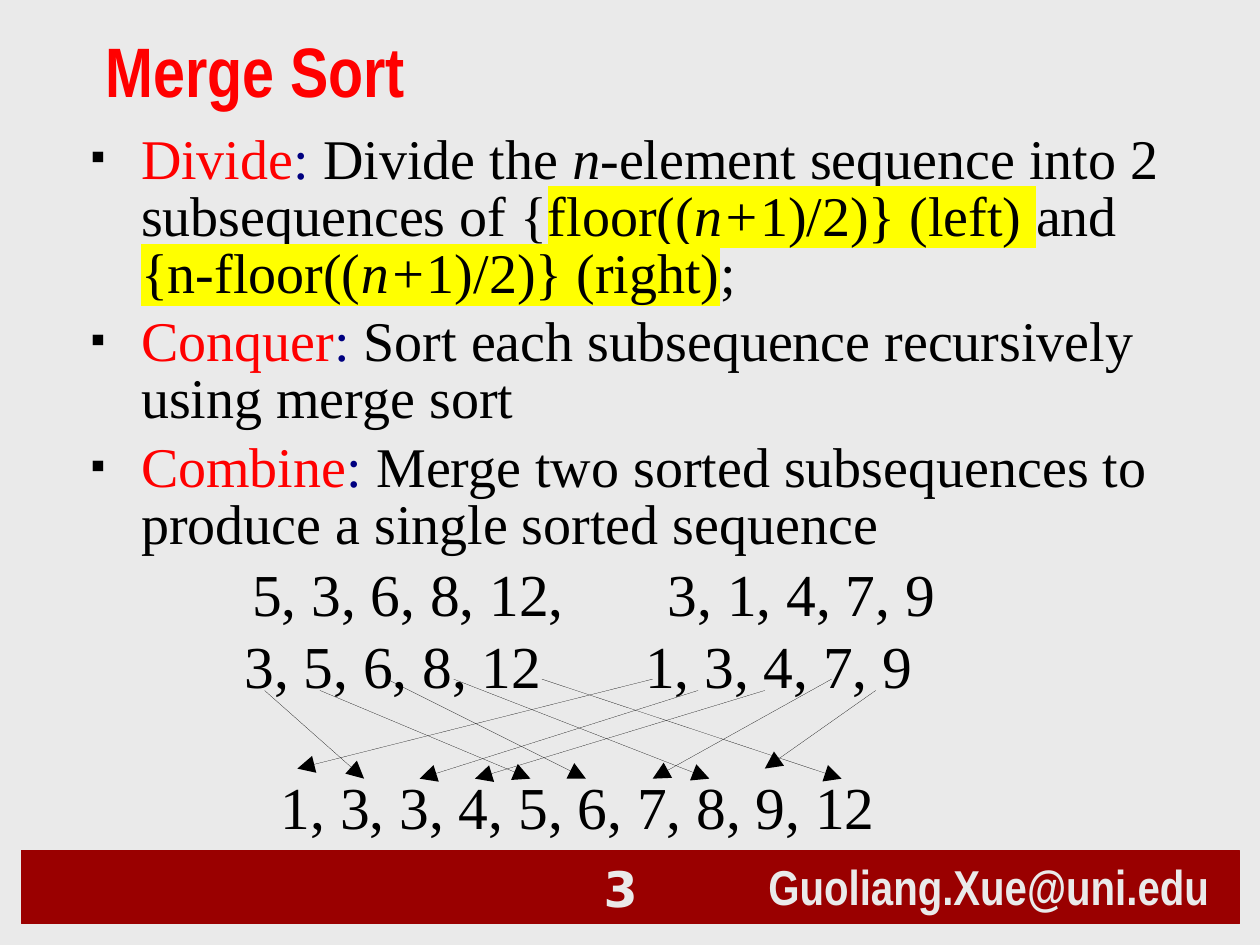
from dataclasses import dataclass

from lxml import etree
from pptx import Presentation
from pptx.dml.color import RGBColor
from pptx.enum.shapes import MSO_CONNECTOR, MSO_SHAPE
from pptx.enum.text import MSO_ANCHOR, PP_ALIGN
from pptx.oxml.ns import qn
from pptx.util import Inches, Pt

RECT, STRAIGHT = MSO_SHAPE.RECTANGLE, MSO_CONNECTOR.STRAIGHT
TOP, MIDDLE, BOTTOM = MSO_ANCHOR.TOP, MSO_ANCHOR.MIDDLE, MSO_ANCHOR.BOTTOM
LEFT, RIGHT = PP_ALIGN.LEFT, PP_ALIGN.RIGHT


@dataclass(frozen=True)
class Theme:
    paper: str = "EAEAEA"
    bar: str = "9A0000"
    red: str = "FF0000"
    navy: str = "000080"
    ink: str = "000000"
    marker: str = "FFFF00"
    heading: str = "Arial Narrow"
    body: str = "Times New Roman"
    number: str = "DejaVu Sans"
    title_size: int = 40
    body_size: int = 32
    sequence_size: int = 34
    footer_size: int = 28


def rgb(value):
    return RGBColor.from_string(value)


def add_xml(parent, tag, **attrs):
    return etree.SubElement(parent, qn(tag), attrs)


class Deck:
    def __init__(self, theme):
        self.theme = theme
        self.prs = Presentation()
        self.prs.slide_width, self.prs.slide_height = Inches(10), Inches(7.5)
        self.s = self.prs.slides.add_slide(self.prs.slide_layouts[6])
        fill = self.s.background.fill
        fill.solid()
        fill.fore_color.rgb = rgb(theme.paper)

    def bar(self, box, outline=True):
        sp = self.s.shapes.add_shape(RECT, *map(Inches, box))
        sp.shadow.inherit = False
        sp.fill.solid()
        sp.fill.fore_color.rgb = rgb(self.theme.bar)
        if outline:
            sp.line.color.rgb = rgb(self.theme.bar)
            sp.line.width = Pt(0.75)
        else:
            sp.line.fill.background()
        return sp

    def frame(self, sp, anchor=TOP, inset=(0.1, 0.05), wrap=True):
        tf = sp.text_frame
        x, y = map(Inches, inset)
        formats = {"word_wrap": wrap, "vertical_anchor": anchor,
                   "margin_left": x, "margin_right": x,
                   "margin_top": y, "margin_bottom": y}
        for name, value in formats.items():
            setattr(tf, name, value)
        return tf

    def textbox(self, box):
        return self.s.shapes.add_textbox(*map(Inches, box))

    def run(self, p, text, size, font, color, bold=False, italic=False, highlight=None):
        r = p.add_run()
        r.text = text
        formats = {"size": Pt(size), "name": font, "bold": bold, "italic": italic}
        for name, value in formats.items():
            setattr(r.font, name, value)
        r.font.color.rgb = rgb(color)
        if highlight:
            mark = etree.Element(qn("a:highlight"))
            add_xml(mark, "a:srgbClr", val=highlight)
            r.font._element.find(qn("a:solidFill")).addnext(mark)

    def label(self, sp, text, size, font, color, bold=True, align=LEFT, **frame):
        p = self.frame(sp, **frame).paragraphs[0]
        p.alignment = align
        self.run(p, text, size, font, color, bold)

    def sequence(self, text, x, y, width):
        t = self.theme
        self.label(self.textbox((x, y, width, 0.57)), text, t.sequence_size, t.body,
                   t.ink, bold=False, inset=(0, 0), wrap=False)

    def bullets(self, items, box):
        t = self.theme
        tf = self.frame(self.textbox(box), inset=(0.11, 0.05))
        for i, (term, parts) in enumerate(items):
            p = tf.add_paragraph() if i else tf.paragraphs[0]
            p.line_spacing, p.space_before = 0.85, Pt(6.4)
            pPr = p._p.get_or_add_pPr()
            pPr.set("marL", str(Inches(0.4)))
            pPr.set("indent", str(Inches(-0.4)))
            add_xml(add_xml(pPr, "a:buClr"), "a:srgbClr", val=t.ink)
            add_xml(pPr, "a:buSzPct", val="75000")
            add_xml(pPr, "a:buFont", typeface=t.body)
            add_xml(pPr, "a:buChar", char="▪")
            self.run(p, term, t.body_size, t.body, t.red)
            self.run(p, ": ", t.body_size, t.body, t.navy)
            for text, style in parts:
                self.run(p, text, t.body_size, t.body, t.ink, **style)

    def arrow(self, start, end):
        c = self.s.shapes.add_connector(STRAIGHT, *map(Inches, (*start, *end)))
        c.line.color.rgb = rgb(self.theme.ink)
        c.line.width = Pt(0.1)
        add_xml(c.line._get_or_add_ln(), "a:tailEnd", type="triangle", w="lg", len="lg")
        add_xml(c._element.spPr, "a:effectLst")


t = Theme()
deck = Deck(t)

# Footer
deck.bar((0.17, 6.75, 9.67, 0.58))
contact = deck.bar((6, 6.75, 3.83, 0.57), outline=False)
deck.label(contact, "Guoliang.Xue@uni.edu", t.footer_size, t.heading, t.paper)
page = deck.bar((4.08, 6.75, 1.08, 0.58))
deck.label(page, "3", t.footer_size, t.number, t.paper, align=RIGHT, anchor=BOTTOM)

# Title and the three steps
deck.label(deck.textbox((0.74, 0.16, 8.54, 0.79)), "Merge Sort", t.title_size,
           t.heading, t.red, anchor=MIDDLE)
plain, italic = {}, {"italic": True}
marked = {"highlight": t.marker}
marked_italic = {**marked, **italic}
deck.bullets([
    ("Divide", [
        ("Divide the ", plain), ("n", italic),
        ("-element sequence into 2 subsequences of {", plain),
        ("floor((", marked), ("n+", marked_italic), ("1)/2)} (left) ", marked),
        ("and ", plain),
        ("{n-floor((", marked), ("n+", marked_italic), ("1)/2)} (right)", marked),
        (";", plain)]),
    ("Conquer", [("Sort each subsequence recursively using merge sort", plain)]),
    ("Combine", [("Merge two sorted subsequences to produce a single sorted sequence",
                  plain)]),
], (0.61, 1.01, 8.97, 3.33))

# Unsorted halves, sorted halves, merged sequence
for text, x, y, width in [
    ("5, 3, 6, 8, 12,", 2, 4.42, 2.48), ("3, 1, 4, 7, 9", 5.3, 4.42, 2.13),
    ("3, 5, 6, 8, 12", 1.94, 4.99, 2.36), ("1, 3, 4, 7, 9", 5.12, 4.99, 2.13),
    ("1, 3, 3, 4, 5, 6, 7, 8, 9, 12", 2.23, 6.11, 4.77),
]:
    deck.sequence(text, x, y, width)

# Arrows from each sorted half to the merged sequence
HIGH, LOW, TIP = 5.39, 5.48, 6.18
for x1, y1, x2, y2 in [
    (2.1, LOW, 2.89, TIP), (2.54, LOW, 4.21, TIP), (3.07, HIGH, 4.65, TIP),
    (3.6, HIGH, 5.63, TIP), (4.3, HIGH, 6.68, TIP),
    (5.18, HIGH, 2.36, 6.1), (5.54, LOW, 3.33, TIP), (6.07, LOW, 3.77, TIP),
    (6.6, HIGH, 5.18, TIP), (6.95, LOW, 6.07, 6.1),
]:
    deck.arrow((x1, y1), (x2, y2))

deck.prs.save("out.pptx")
